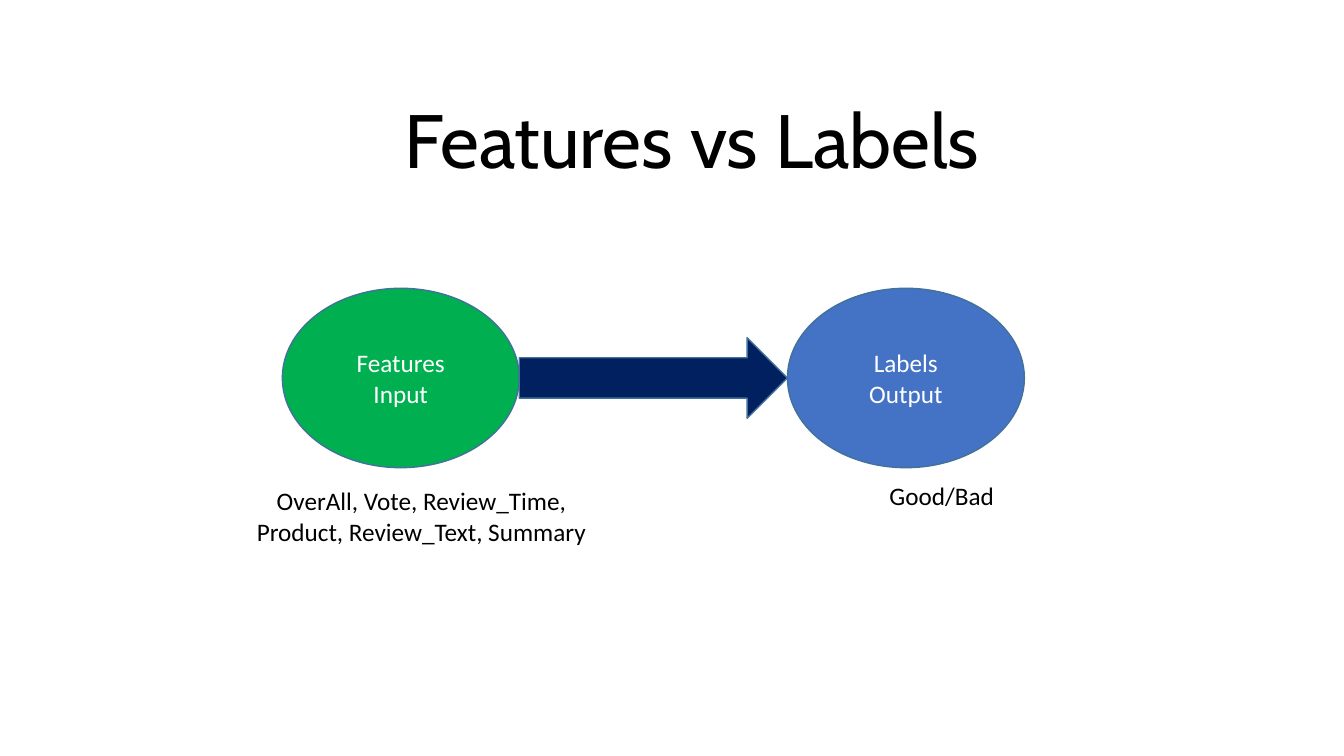
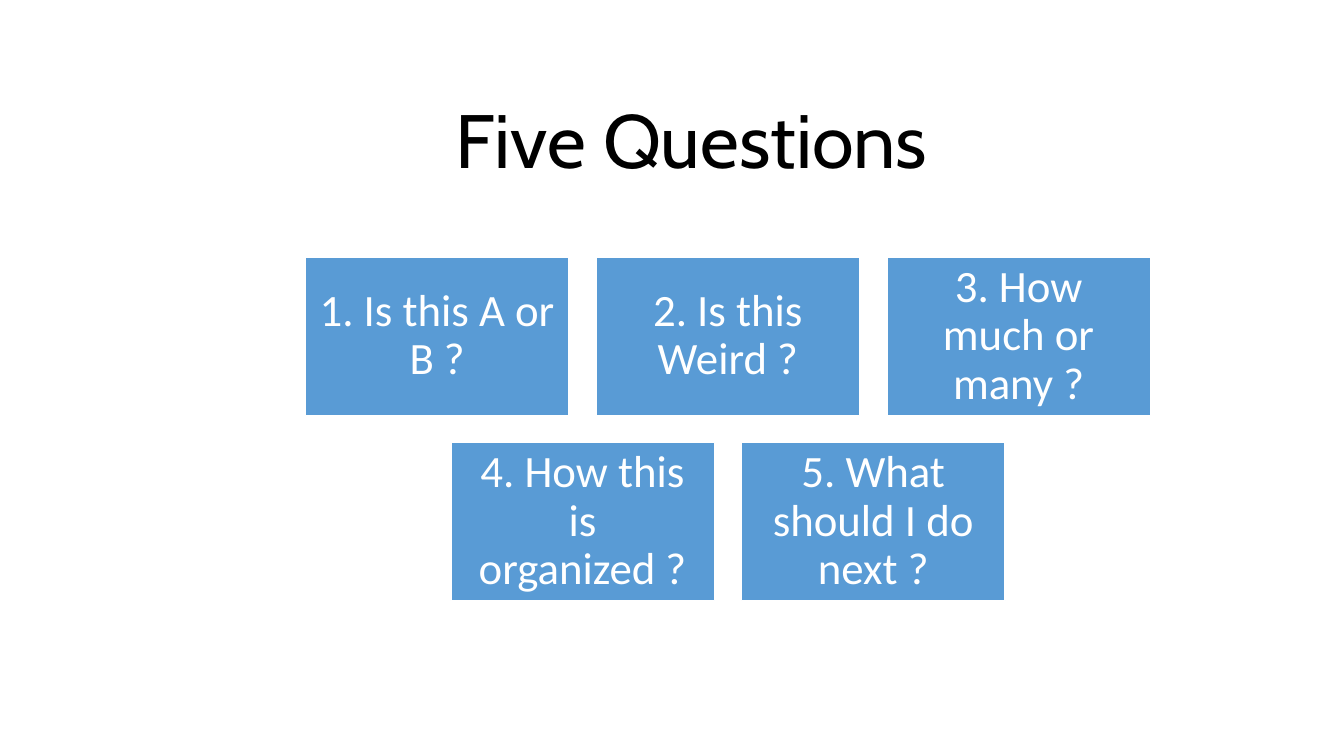
from dataclasses import dataclass

from pptx import Presentation
from pptx.dml.color import RGBColor
from pptx.enum.shapes import MSO_SHAPE
from pptx.enum.text import MSO_ANCHOR, MSO_AUTO_SIZE, PP_ALIGN
from pptx.util import Inches, Pt


@dataclass(frozen=True)
class Theme:
    black: str = "000000"
    white: str = "FFFFFF"
    green: str = "00B050"
    blue: str = "4472C4"
    navy: str = "002060"
    edge: str = "42719B"
    tile: str = "599BD5"
    head: str = "Cabin"
    body: str = "Calibri"
    title: int = 54
    large: int = 32
    small: int = 18


THEME = Theme()


def write(shape, text, size, color, font=THEME.body, anchor=MSO_ANCHOR.TOP,
          pad=(0.1, 0.05), pitch=1.0):
    """Fill a shape with centred text; pad is the side and top inset."""
    frame = shape.text_frame
    frame.text = text
    frame.word_wrap = True
    frame.auto_size = MSO_AUTO_SIZE.NONE
    frame.vertical_anchor = anchor
    frame.margin_left = frame.margin_right = Inches(pad[0])
    frame.margin_top = frame.margin_bottom = Inches(pad[1])
    for para in frame.paragraphs:
        para.alignment = PP_ALIGN.CENTER
        para.line_spacing = pitch
        for run in para.runs:
            run.font.name = font
            run.font.size = Pt(size)
            run.font.color.rgb = RGBColor.from_string(color)


def draw(slide, kind, box, fill, line):
    shape = slide.shapes.add_shape(kind, *map(Inches, box))
    shape.shadow.inherit = False
    shape.fill.solid()
    shape.fill.fore_color.rgb = RGBColor.from_string(fill)
    shape.line.color.rgb = RGBColor.from_string(line)
    shape.line.width = Pt(1)
    return shape


def start(deck, text):
    """Add a slide with the shared title."""
    slide = deck.slides.add_slide(deck.slide_layouts.get_by_name("Title Only"))
    title = slide.shapes.title
    title.left, title.top = Inches(1.5), Inches(0.87)
    title.width, title.height = Inches(10.72), Inches(1.01)
    write(title, text, THEME.title, THEME.black, THEME.head)
    return slide


def label(slide, box, text):
    note = slide.shapes.add_textbox(*map(Inches, box))
    write(note, text, THEME.small, THEME.black)


def flow(slide, box, source, target):
    """Join two ovals at the ends of the box with a block arrow."""
    left, top, width, height = box
    oval, thick = 2.35, 0.8
    ends = ((left, source, THEME.green),
            (left + width - oval, target, THEME.blue))
    for x, text, fill in ends:
        shape = draw(slide, MSO_SHAPE.OVAL, (x, top, oval, height),
                     fill, THEME.edge)
        write(shape, text, THEME.small, THEME.white, anchor=MSO_ANCHOR.MIDDLE)
    draw(slide, MSO_SHAPE.RIGHT_ARROW,
         (left + oval, top + (height - thick) / 2, width - 2 * oval, thick),
         THEME.navy, THEME.edge)


def tiles(slide, box, rows):
    """Set rows of equal tiles in the box, each row centred."""
    left, top, width, height = box
    gap = 0.27
    most = max(map(len, rows))
    wide = (width - gap * (most - 1)) / most
    high = (height - gap * (len(rows) - 1)) / len(rows)
    for r, row in enumerate(rows):
        inset = (most - len(row)) * (wide + gap) / 2
        for c, text in enumerate(row):
            place = (left + inset + c * (wide + gap),
                     top + r * (high + gap), wide, high)
            tile = draw(slide, MSO_SHAPE.RECTANGLE, place,
                        THEME.tile, THEME.white)
            write(tile, text, THEME.large, THEME.white,
                  anchor=MSO_ANCHOR.MIDDLE, pad=(0.13, 0.13), pitch=0.9)


def main():
    deck = Presentation()
    deck.slide_width, deck.slide_height = Inches(13.33), Inches(7.5)

    slide = start(deck, "Features vs Labels")
    flow(slide, (2.8, 2.86, 7.36, 1.78), "Features\nInput", "Labels\nOutput")
    label(slide, (2.38, 4.77, 3.6, 0.71),
          "OverAll, Vote, Review_Time, Product, Review_Text, Summary")
    label(slide, (7.54, 4.72, 3.6, 0.4), "Good/Bad")

    slide = start(deck, "Five Questions")
    tiles(slide, (3.03, 2.55, 8.38, 3.41), (
        ("1. Is this A or B ?", "2. Is this Weird ?", "3. How much or many ?"),
        ("4. How this is organized ?", "5. What should I do next ?"),
    ))
    deck.save("out.pptx")


if __name__ == "__main__":
    main()
